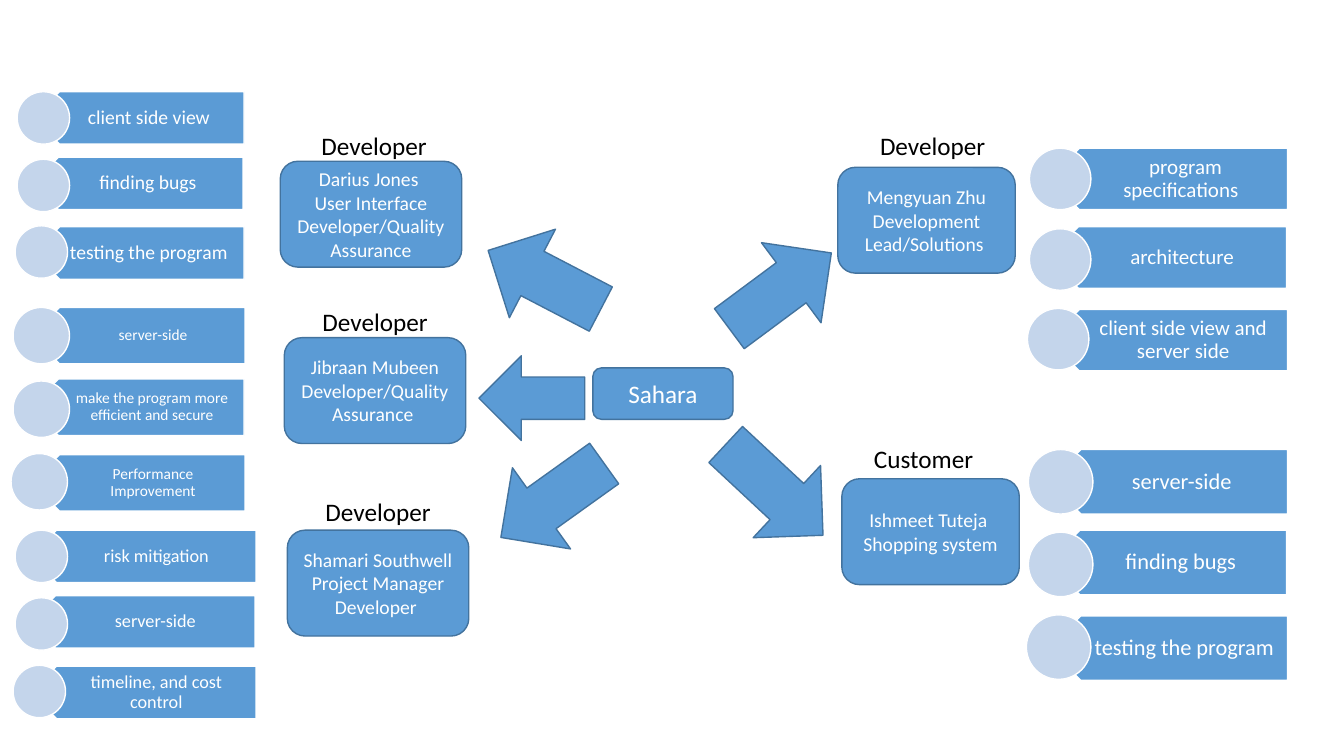
from dataclasses import dataclass

from pptx import Presentation
from pptx.dml.color import RGBColor
from pptx.enum import shapes, text
from pptx.util import Inches, Pt


@dataclass(frozen=True)
class Theme:
    font: str = "Calibri"
    blue: str = "5B9BD5"
    outline: str = "43739E"
    pale: str = "C4D5EB"
    white: str = "FFFFFF"
    black: str = "000000"
    heading: int = 18
    body: int = 14


theme = Theme()
MSO = shapes.MSO_SHAPE


def add_shape(parent, kind, box, fill=theme.blue, line=theme.outline, rotation=0):
    sp = parent.add_shape(kind, *map(Inches, box))
    sp.shadow.inherit = False
    sp.fill.solid()
    sp.fill.fore_color.rgb = RGBColor.from_string(fill)
    sp.line.color.rgb = RGBColor.from_string(line)
    sp.line.width = Pt(1)
    sp.rotation = rotation
    return sp


def write(sp, words, size=theme.body, color=theme.white, align=text.PP_ALIGN.CENTER,
          anchor=text.MSO_ANCHOR.MIDDLE, wrap=True, spacing=None, insets=None):
    tf = sp.text_frame
    tf.word_wrap = wrap
    tf.vertical_anchor = anchor
    if insets:
        tf.margin_left, tf.margin_top, tf.margin_right, tf.margin_bottom = map(Inches, insets)
    tf.text = words
    for p in tf.paragraphs:
        p.alignment = align
        p.line_spacing = spacing
        for r in p.runs:
            r.font.name = theme.font
            r.font.size = Pt(size)
            r.font.color.rgb = RGBColor.from_string(color)


prs = Presentation()
prs.slide_width, prs.slide_height = Inches(13.33), Inches(7.5)
s = prs.slides.add_slide(prs.slide_layouts[6])

# Project and team members
project = add_shape(s.shapes, MSO.ROUNDED_RECTANGLE, (5.88, 3.65, 1.39, 0.51))
write(project, "Sahara", size=theme.heading)

members = [
    (8.35, 4.75, 1.76, "Ishmeet Tuteja \nShopping system"),
    (2.85, 5.26, 1.8, "Shamari Southwell\nProject Manager\nDeveloper "),
    (2.82, 3.35, 1.8, "Jibraan Mubeen Developer/Quality Assurance "),
    (2.78, 1.6, 1.8, "Darius Jones \nUser Interface Developer/Quality Assurance"),
    (8.31, 1.66, 1.76, "Mengyuan Zhu\nDevelopment Lead/Solutions "),
]
for left, top, width, words in members:
    member = add_shape(s.shapes, MSO.ROUNDED_RECTANGLE, (left, top, width, 1.05))
    write(member, words)

# Roles above the members
roles = [
    (3.09, 1.24, 1.26, "Developer"),
    (3.1, 2.99, 1.26, "Developer"),
    (3.13, 4.87, 1.26, "Developer"),
    (8.63, 1.24, 1.26, "Developer"),
    (8.57, 4.35, 1.2, "Customer"),
]
for left, top, width, words in roles:
    role = s.shapes.add_textbox(*map(Inches, (left, top, width, 0.4)))
    write(role, words, size=theme.heading, color=theme.black, align=text.PP_ALIGN.LEFT,
          anchor=text.MSO_ANCHOR.TOP, wrap=False)

# Arrows from the project to the members
arrows = [
    ((4.77, 2.28, 1.26, 0.99), 207.5),
    ((4.85, 4.47, 1.26, 0.99), 144.4),
    ((7.11, 2.39, 1.26, 0.99), 323.4),
    ((4.75, 3.53, 1.05, 0.84), 180),
    ((7.02, 4.37, 1.32, 0.98), 43),
]
for box, rotation in arrows:
    add_shape(s.shapes, MSO.RIGHT_ARROW, box, rotation=rotation)

# Task lists: plate left, plate width, row height, circle left, type size, right and top insets, rows
task_lists = [
    (10.4, 2.37, 0.61, 10.21, 15, 0.12, 0.06,
     [(1.47, " program specifications "), (2.25, "architecture"),
      (3.07, "client side view and server side")]),
    (10.4, 2.37, 0.64, 10.2, 16, 0.12, 0.07,
     [(4.46, "server-side "), (5.26, "finding bugs "), (6.11, "testing the program")]),
    (0.3, 2.24, 0.52, 0.15, 13, 0.1, 0.05,
     [(5.26, "risk mitigation"), (5.91, "server-side"), (6.61, "timeline, and cost control")]),
    (0.31, 2.12, 0.56, 0.13, 11, 0.09, 0.05,
     [(3.05, "server-side"), (3.76, "make the program more efficient and secure"),
      (4.51, "Performance Improvement")]),
    (0.33, 2.09, 0.52, 0.17, 14, 0.11, 0.06,
     [(0.91, "client side view "), (1.56, "finding bugs "), (2.25, "testing the program ")]),
]
# Per row: plate shift, circle shift across, circle shift down
row_shifts = [(0, 0, 0), (-0.01, 0, 0.02), (0, -0.02, -0.01)]

for left, width, height, circle_left, size, right_inset, top_inset, rows in task_lists:
    group = s.shapes.add_group_shape().shapes
    for (top, words), (plate_dx, circle_dx, circle_dy) in zip(rows, row_shifts):
        plate_left = left + plate_dx
        add_shape(group, MSO.PENTAGON, (plate_left, top, width, height),
                  line=theme.white, rotation=180)
        tip = height / 4
        task = group.add_textbox(*map(Inches, (plate_left + tip, top, width - tip, height)))
        write(task, words, size=size, spacing=0.9,
              insets=(0.44 * height, top_inset, right_inset, top_inset))
        add_shape(group, MSO.OVAL, (circle_left + circle_dx, top + circle_dy, height, height),
                  fill=theme.pale, line=theme.white)

prs.save("out.pptx")
